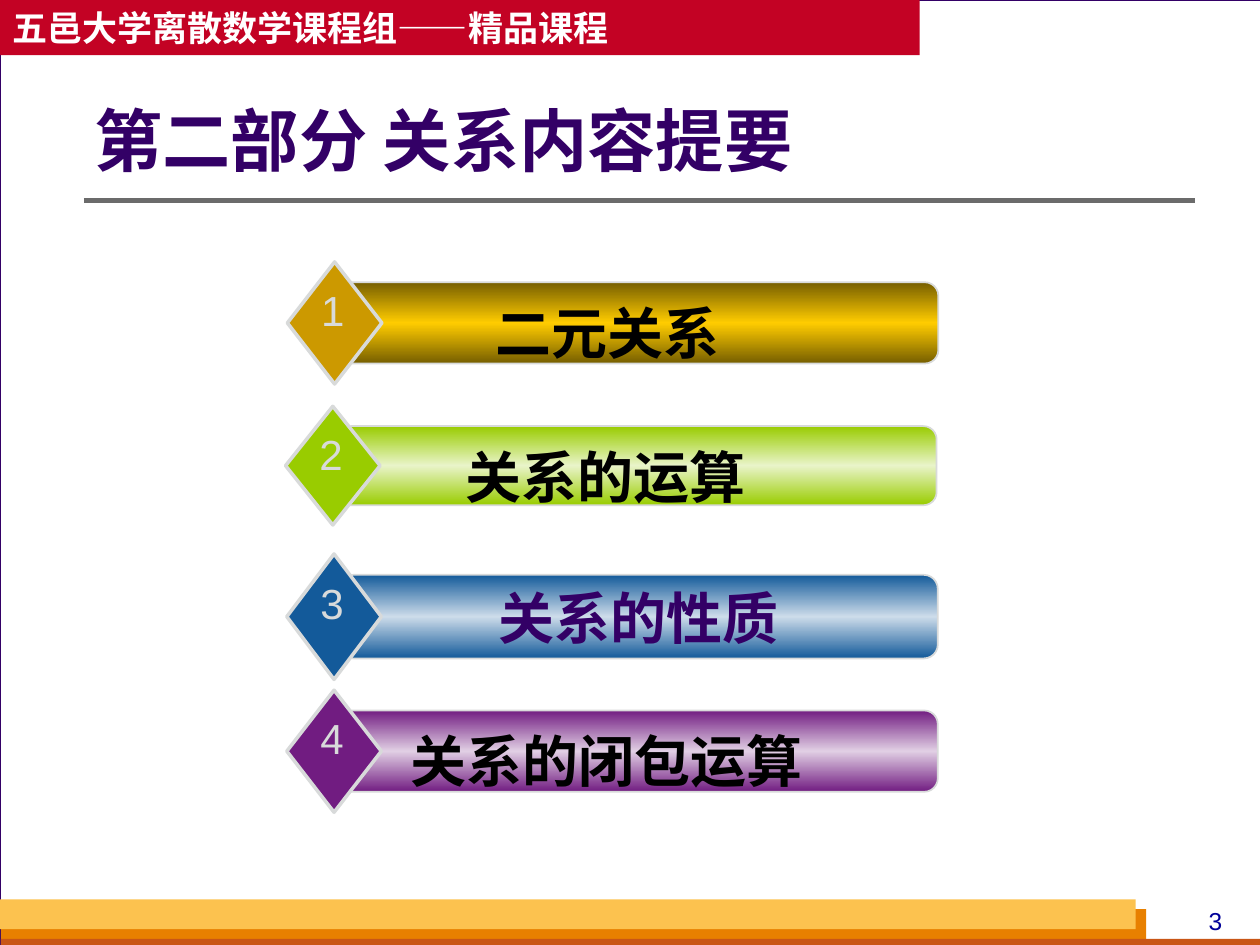
from copy import deepcopy

from pptx import Presentation
from pptx.dml.color import RGBColor
from pptx.enum.shapes import MSO_CONNECTOR, MSO_SHAPE as SHAPE
from pptx.enum.text import MSO_ANCHOR as ANCHOR, MSO_AUTO_SIZE, PP_ALIGN as ALIGN
from pptx.oxml.ns import qn
from pptx.util import Pt

CJK = "Noto Sans CJK SC"
WHITE = RGBColor(0xFF, 0xFF, 0xFF)
BLACK = RGBColor(0, 0, 0)
SILVER = RGBColor(0xD8, 0xDA, 0xDA)
INDIGO = RGBColor(0x33, 0x00, 0x66)
NAVY = RGBColor(0x00, 0x00, 0x99)
GRAY = RGBColor(0x6B, 0x6B, 0x6B)
RED = RGBColor(0xC3, 0x02, 0x24)
ORANGE = RGBColor(0xE8, 0x80, 0x00)
RUST = RGBColor(0xC9, 0x56, 0x16)
AMBER = RGBColor(0xFC, 0xC2, 0x4F)
GOLD = RGBColor(0xCC, 0x99, 0x00)
BROWN = RGBColor(0x76, 0x5E, 0x00)
YELLOW = RGBColor(0xFF, 0xCC, 0x00)
GREEN = RGBColor(0x99, 0xCC, 0x00)
PALE_GREEN = RGBColor(0xE9, 0xF4, 0xC9)
BLUE = RGBColor(0x13, 0x5A, 0x9A)
PALE_BLUE = RGBColor(0xCD, 0xDC, 0xEA)
PURPLE = RGBColor(0x71, 0x1C, 0x81)
PALE_PURPLE = RGBColor(0xE1, 0xCF, 0xE4)

prs = Presentation()
prs.slide_width, prs.slide_height = Pt(720), Pt(540)
slide = prs.slides.add_slide(prs.slide_layouts[5])
slide.background.fill.solid()
slide.background.fill.fore_color.rgb = SILVER


def add_block(kind, left, top, width, height, color, line=None, line_width=1):
    block = slide.shapes.add_shape(kind, Pt(left), Pt(top), Pt(width), Pt(height))
    block.shadow.inherit = False
    block.fill.solid()
    block.fill.fore_color.rgb = color
    if line is None:
        block.line.fill.background()
    else:
        block.line.color.rgb = line
        block.line.width = Pt(line_width)
    return block


def write(shape, text, size, color, font=CJK, bold=True, align=ALIGN.CENTER,
          anchor=ANCHOR.TOP, wrap=True):
    frame = shape.text_frame
    frame.text = text
    frame.word_wrap = wrap
    frame.auto_size = MSO_AUTO_SIZE.NONE
    frame.vertical_anchor = anchor
    paragraph = frame.paragraphs[0]
    paragraph.alignment = align
    run = paragraph.runs[0]
    run.font.name, run.font.size, run.font.bold = font, Pt(size), bold
    run.font.color.rgb = color
    east_asian = run.font._element.makeelement(qn("a:ea"), {"typeface": CJK})
    run.font._element.find(qn("a:latin")).addnext(east_asian)


# Page and footer bands
add_block(SHAPE.RECTANGLE, 0, 0, 720.5, 540, WHITE, INDIGO, 0.75)
add_block(SHAPE.RECTANGLE, 0.5, 519.5, 654.5, 20.5, ORANGE)
add_block(SHAPE.RECTANGLE, 0.5, 536.5, 720, 5.5, RUST)
add_block(SHAPE.RECTANGLE, 0, 514, 649, 17, AMBER)
page_number = slide.shapes.add_textbox(Pt(672), Pt(514), Pt(45), Pt(24.5))
write(page_number, "3", 14, NAVY, "Arial", bold=False)
page_number.text_frame.paragraphs[0].space_before = Pt(8.8)

# Course banner
banner = add_block(SHAPE.RECTANGLE, 0, 0, 525.5, 31.5, RED)
write(banner, "五邑大学离散数学课程组——精品课程", 20, WHITE, align=ALIGN.LEFT,
      anchor=ANCHOR.MIDDLE, wrap=False)

# Title, brought in front of the page, and its rule
title = slide.shapes.title
slide.shapes._spTree.append(title._element)
title.left, title.top, title.width, title.height = Pt(54), Pt(54.7), Pt(625), Pt(56)
write(title, "第二部分 关系内容提要", 39, INDIGO, align=ALIGN.LEFT, anchor=ANCHOR.MIDDLE)
title.text_frame.margin_left = 0
title.text_frame.paragraphs[0].line_spacing = 0.9
rule = slide.shapes.add_connector(MSO_CONNECTOR.STRAIGHT, Pt(48), Pt(114.5), Pt(683), Pt(114.5))
rule.line.color.rgb = GRAY
rule.line.width = Pt(3)
rule._element.spPr.append(rule._element.makeelement(qn("a:effectLst"), {}))

# Topics: text, bar left, top and height, diamond, bar edge and bar middle colours
topics = [
    ("二元关系", 194.2, 161.3, 46.5, GOLD, BROWN, YELLOW),
    ("关系的运算", 193.2, 243.5, 45.2, GREEN, GREEN, PALE_GREEN),
    ("关系的性质", 193.9, 328.5, 47.8, BLUE, BLUE, PALE_BLUE),
    ("关系的闭包运算", 193.9, 406, 46.5, PURPLE, PURPLE, PALE_PURPLE),
]
for number, (topic, left, top, height, color, edge, middle) in enumerate(topics, 1):
    bar = add_block(SHAPE.ROUNDED_RECTANGLE, left, top, 342, height, edge, SILVER)
    bar.fill.gradient()
    stop_list = bar._element.spPr.find(qn("a:gradFill")).find(qn("a:gsLst"))
    stop_list.append(deepcopy(stop_list[0]))
    for stop, position, shade in zip(bar.fill.gradient_stops, (0, 0.5, 1), (edge, middle, edge)):
        stop.position = position
        stop.color.rgb = shade
    bar.fill.gradient_angle = 270

    add_block(SHAPE.DIAMOND, left - 30, top - height / 4, 54, height * 1.5, color, SILVER, 2)

    if number == 3:
        write(bar, topic, 32, INDIGO, anchor=ANCHOR.MIDDLE, wrap=False)
    else:
        label = slide.shapes.add_textbox(Pt(left + 18), Pt(top + 5.8), Pt(270), Pt(46))
        write(label, topic, 32, BLACK, "Arial")
    badge = slide.shapes.add_textbox(Pt(left - 17.8), Pt(top - 2.2), Pt(27.5), Pt(36))
    write(badge, str(number), 24, SILVER, "Arial", bold=False, wrap=False)

prs.save("out.pptx")
